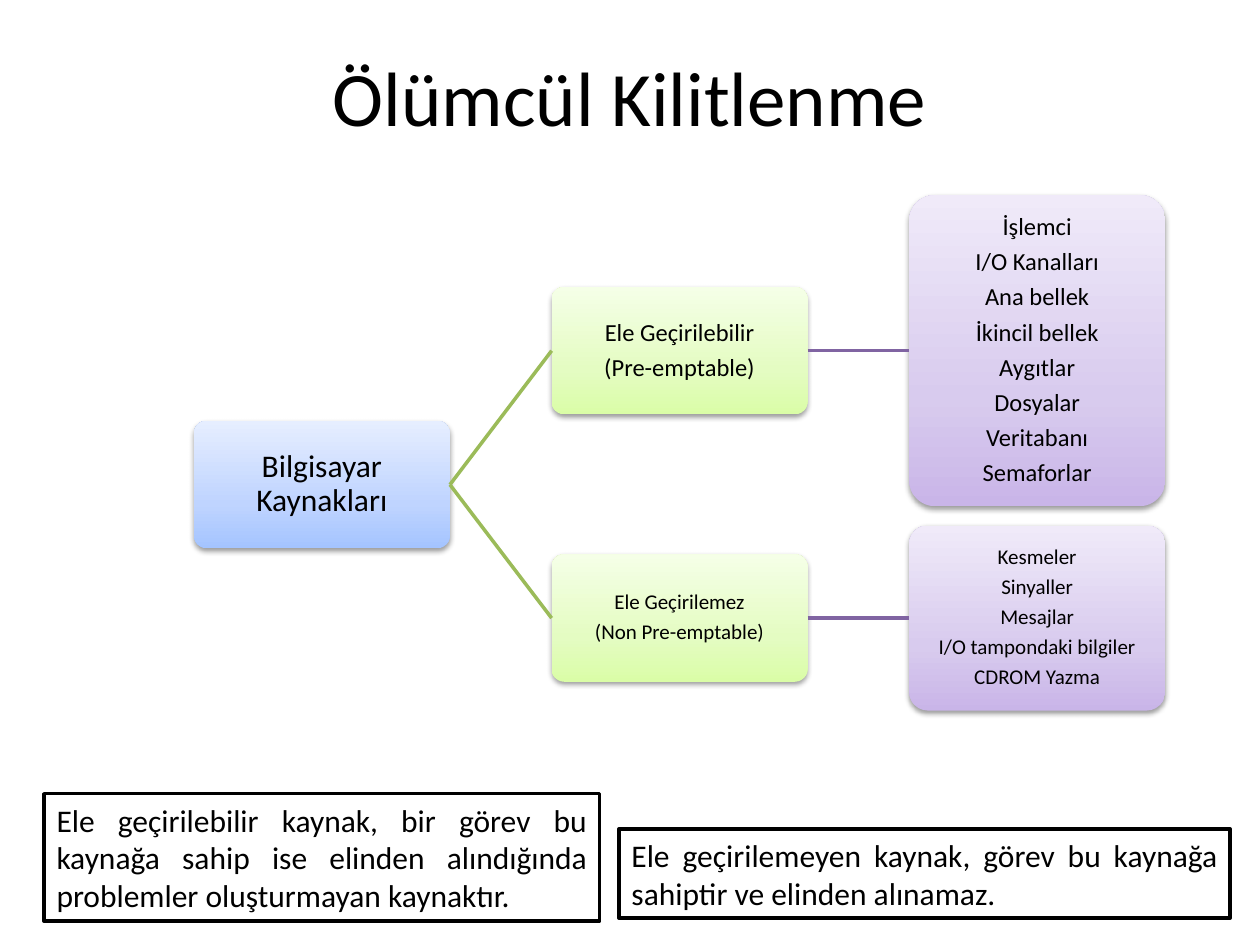
from pptx import Presentation, util as u
from pptx.dml.color import RGBColor
from pptx.enum import shapes, text
from pptx.oxml import parse_xml
from pptx.oxml.ns import nsdecls, qn

Cm, Pt = u.Cm, u.Pt
FONT = "Calibri"
COLORS = {"text": "000000", "box": "FFFFFF", "green": "9BBB59", "purple": "8064A2"}
GRADIENTS = {  # bottom, middle, top
    "blue": ("A4C4FF", "BFD4FF", "E6EEFF"),
    "green": ("DAFDA7", "E4FCC2", "F5FFE7"),
    "purple": ("C9B5E8", "D8CBEE", "F0EAF9"),
}
STOPS = (0, 35, 100)

TITLE = "Ölümcül Kilitlenme"
# name: (parent, level, middle y, height, font size, lines)
NODES = {
    "root": (None, 0, 9.77, 2.57, 18, ["Bilgisayar Kaynakları"]),
    "preemptable": ("root", 1, 7.07, 2.57, 14, ["Ele Geçirilebilir", "(Pre-emptable)"]),
    "preemptable examples": ("preemptable", 2, 7.07, 6.27, 14, [
        "İşlemci", "I/O Kanalları", "Ana bellek", "İkincil bellek",
        "Aygıtlar", "Dosyalar", "Veritabanı", "Semaforlar"]),
    "non-preemptable": ("root", 1, 12.46, 2.57, 12, ["Ele Geçirilemez", "(Non Pre-emptable)"]),
    "non-preemptable examples": ("non-preemptable", 2, 12.46, 3.73, 12, [
        "Kesmeler", "Sinyaller", "Mesajlar", "I/O tampondaki bilgiler", "CDROM Yazma"]),
}
LEVEL_COLORS = ("blue", "green", "purple")
LEFT, PITCH, NODE_W = 3.91, 7.21, 5.16
# left, top, width, height, wording
NOTES = [
    (0.89, 16.0, 11.2, 2.57, "Ele geçirilebilir kaynak, bir görev bu kaynağa sahip ise "
                             "elinden alındığında problemler oluşturmayan kaynaktır."),
    (12.48, 16.71, 12.32, 1.8, "Ele geçirilemeyen kaynak, görev bu kaynağa sahiptir "
                               "ve elinden alınamaz."),
]
NODE_FRAME = {f"margin_{side}": Cm(0.1) for side in ("left", "top", "right", "bottom")}
NOTE_FRAME = {"auto_size": text.MSO_AUTO_SIZE.SHAPE_TO_FIT_TEXT}


def rgb(name):
    return RGBColor.from_string(COLORS[name])


def set_all(obj, values):
    for name, value in values.items():
        setattr(obj, name, value)


def write(sp, lines, size, align, frame=None, para=None):
    tf = sp.text_frame
    set_all(tf, {"word_wrap": True, "vertical_anchor": text.MSO_ANCHOR.MIDDLE, **(frame or {})})
    for i, line in enumerate(lines):
        p = tf.add_paragraph() if i else tf.paragraphs[0]
        set_all(p, {"alignment": align, **(para or {})})
        r = p.add_run()
        r.text = line
        set_all(r.font, {"name": FONT, "size": Pt(size)})
        r.font.color.rgb = rgb("text")


def add_gradient_and_shadow(sp, color):
    stops = "".join(
        f'<a:gs pos="{pos * 1000}"><a:srgbClr val="{value}"/></a:gs>'
        for pos, value in zip(STOPS, GRADIENTS[color]))
    spPr = sp._element.spPr
    spPr.find(qn("a:prstGeom")).addnext(parse_xml(
        f'<a:gradFill {nsdecls("a")} rotWithShape="1"><a:gsLst>{stops}</a:gsLst>'
        '<a:lin ang="16200000" scaled="0"/></a:gradFill>'))
    sp.shadow.inherit = False
    spPr.find(qn("a:effectLst")).append(parse_xml(
        f'<a:outerShdw {nsdecls("a")} blurRad="{Pt(3.1)}" dist="{Pt(1.6)}" dir="5400000" '
        'rotWithShape="0"><a:srgbClr val="000000"><a:alpha val="38000"/></a:srgbClr></a:outerShdw>'))


def add_node(s, level, middle, height, size, lines):
    sp = s.shapes.add_shape(
        shapes.MSO_SHAPE.ROUNDED_RECTANGLE, Cm(LEFT + level * PITCH),
        Cm(middle - height / 2), Cm(NODE_W), Cm(height))
    sp.adjustments[0] = 0.1
    sp.line.fill.background()
    add_gradient_and_shadow(sp, LEVEL_COLORS[level])
    write(sp, lines, size, text.PP_ALIGN.CENTER, NODE_FRAME,
          {"line_spacing": 0.9, "space_after": Pt(size * 0.35)})
    return sp


def join(s, parent, child, color):
    c = s.shapes.add_connector(shapes.MSO_CONNECTOR.STRAIGHT, 0, 0, 0, 0)
    c.begin_connect(parent, 3)
    c.end_connect(child, 1)
    c.line.color.rgb = rgb(color)
    c.line.width = Pt(2)
    c._element.spPr.append(parse_xml(f'<a:effectLst {nsdecls("a")}/>'))


def add_note(s, left, top, width, height, wording):
    sp = s.shapes.add_shape(shapes.MSO_SHAPE.RECTANGLE, Cm(left), Cm(top), Cm(width), Cm(height))
    sp.shadow.inherit = False
    sp.fill.solid()
    sp.fill.fore_color.rgb = rgb("box")
    sp.line.color.rgb = rgb("text")
    sp.line.width = Pt(2)
    write(sp, [wording], 18, text.PP_ALIGN.JUSTIFY, NOTE_FRAME)


def main():
    prs = Presentation()
    prs.slide_width, prs.slide_height = Cm(25.4), Cm(19.05)
    s = prs.slides.add_slide(prs.slide_layouts[6])
    title = s.shapes.add_textbox(Cm(1.27), Cm(0.76), Cm(22.86), Cm(2.36))
    write(title, [TITLE], 44, text.PP_ALIGN.CENTER)

    nodes = {}
    for name, (parent, level, *rest) in NODES.items():
        nodes[name] = add_node(s, level, *rest)
        if parent:
            join(s, nodes[parent], nodes[name], LEVEL_COLORS[level])
    for note in NOTES:
        add_note(s, *note)
    prs.save("out.pptx")


if __name__ == "__main__":
    main()
